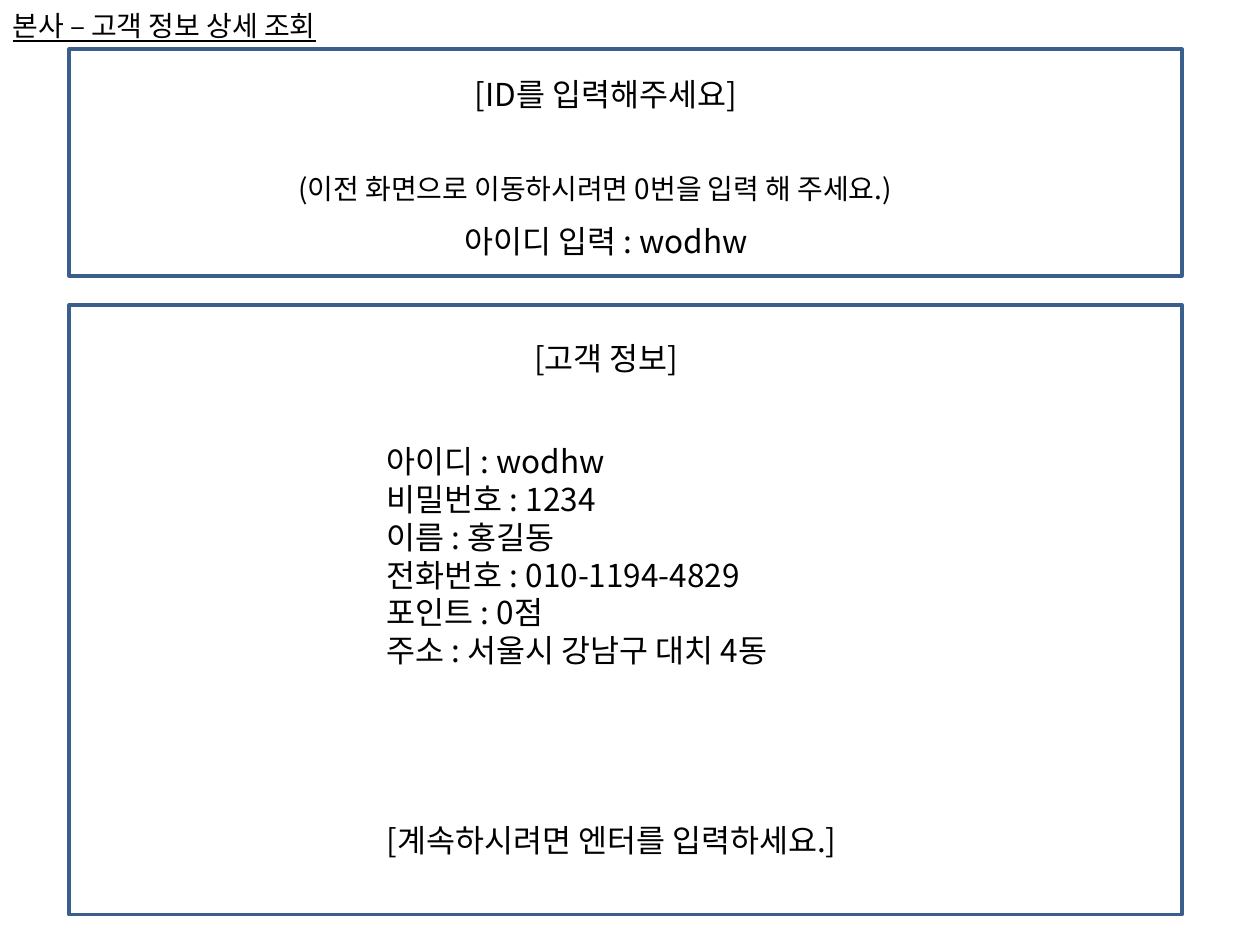
from pptx import Presentation
from pptx import util as u
from pptx.dml.color import RGBColor
from pptx.enum import shapes, text
from pptx.oxml.ns import qn
from lxml import etree

PX = 9144
BLACK = RGBColor(0x00, 0x00, 0x00)
BLUE = RGBColor(0x3A, 0x5F, 0x8C)
FONT = "Noto Sans CJK KR"
HANG = 38


def px(n):
    return u.Emu(n * PX)


def place(shape, x, y, w, h):
    shape.left, shape.top, shape.width, shape.height = map(px, (x, y, w, h))


def write(shape, lines, size=18, under=None):
    frame = shape.text_frame
    frame.text = "\n".join(lines)
    frame.word_wrap = True
    frame.auto_size = text.MSO_AUTO_SIZE.SHAPE_TO_FIT_TEXT
    frame.vertical_anchor = text.MSO_ANCHOR.TOP
    for para in frame.paragraphs:
        props = para._p.get_or_add_pPr()
        props.set("marL", str(px(HANG)))
        props.set("indent", str(-px(HANG)))
        para.alignment = text.PP_ALIGN.LEFT
        para.space_before = u.Pt(0)
        etree.SubElement(props, qn("a:buNone"))
        for run in para.runs:
            font = run.font
            font.name, font.size, font.underline = FONT, u.Pt(size), under
            font.color.rgb = BLACK
            east = etree.SubElement(run._r.get_or_add_rPr(), qn("a:ea"))
            east.set("typeface", FONT)


def label(slide, x, y, w, h, line, size=18):
    box = slide.shapes.add_textbox(px(x), px(y), px(w), px(h))
    write(box, [line], size)


def panel(slide, x, y, w, h):
    box = slide.shapes.add_shape(
        shapes.MSO_SHAPE.RECTANGLE, px(x), px(y), px(w), px(h))
    box.shadow.inherit = False
    box.fill.background()
    box.line.color.rgb = BLUE
    box.line.width = u.Pt(2)


def head(slide, x, y, w, h):
    title = slide.shapes.title
    place(title, x, y, w, h)
    write(title, ["본사 – 고객 정보 상세 조회"], 16, True)


def entry(slide, x, y, w, h):
    panel(slide, x, y, w, h)
    label(slide, x + 312, y + 16, 266, 40, "[ID를 입력해주세요]")
    label(slide, x + 172, y + 92, 594, 37,
          "(이전 화면으로 이동하시려면 0번을 입력 해 주세요.)", 16)
    label(slide, x + 304, y + 132, 313, 40, "아이디 입력 : wodhw")


def detail(slide, x, y, w, h):
    panel(slide, x, y, w, h)
    label(slide, x + 359, y + 22, 266, 40, "[고객 정보]")
    body = slide.placeholders[1]
    place(body, x + 242, y + 104, 469, 192)
    write(body, [
        "아이디 : wodhw",
        "비밀번호 : 1234",
        "이름 : 홍길동",
        "전화번호 : 010-1194-4829",
        "포인트 : 0점",
        "주소 : 서울시 강남구 대치 4동",
    ])
    label(slide, x + 242, y + 405, 469, 40, "[계속하시려면 엔터를 입력하세요.]")


def main():
    deck = Presentation()
    deck.slide_width, deck.slide_height = px(1000), px(750)
    slide = deck.slides.add_slide(deck.slide_layouts[1])
    head(slide, 0, 2, 336, 37)
    entry(slide, 55, 39, 883, 180)
    detail(slide, 55, 242, 883, 484)
    deck.save("out.pptx")


if __name__ == "__main__":
    main()
